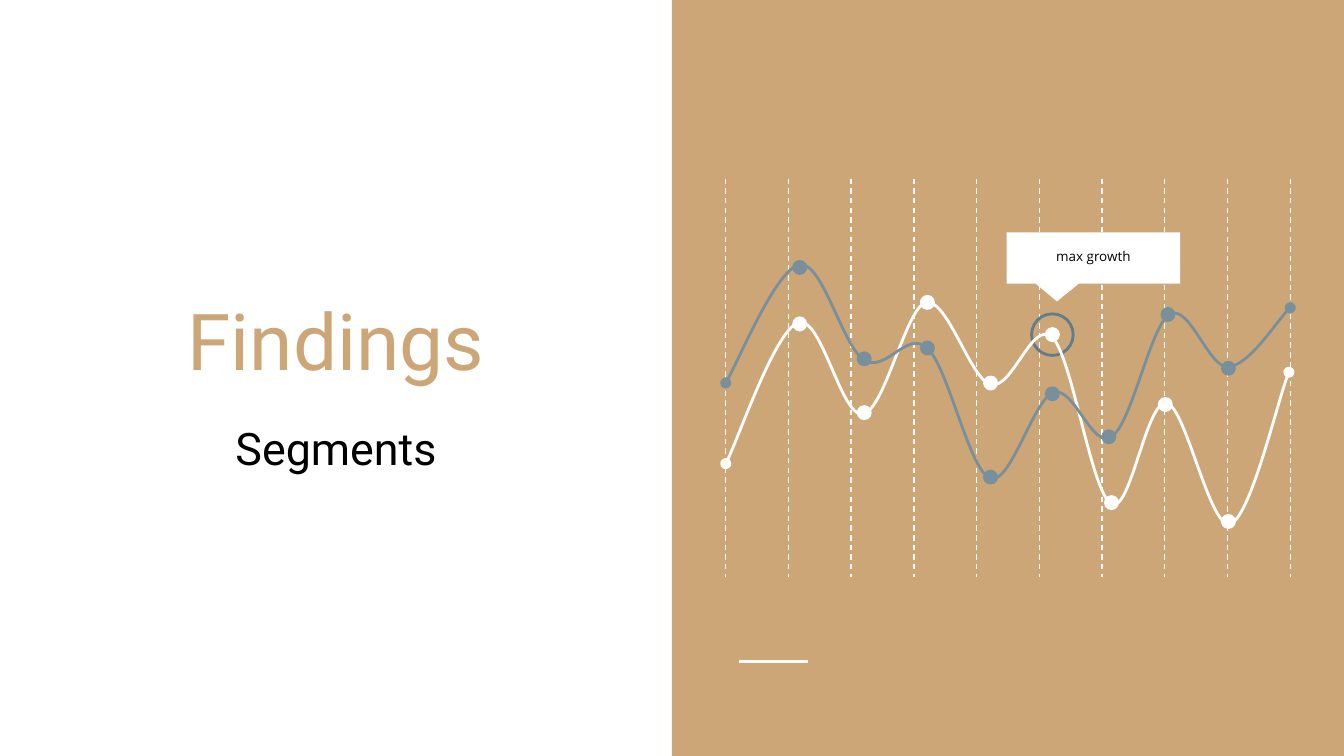
from pptx import Presentation, util as u
from pptx.dml.color import RGBColor
from pptx.enum import dml, shapes, text
from pptx.oxml import ns
from lxml import etree

# Content
WIDTH = 10
HEIGHT = WIDTH * 9 / 16
WHITE, TAN, RING, SLATE, BLACK = "FFFFFF", "CCA677", "607D8B", "78909C", "000000"

HEADINGS = [  # words, box, anchor, format, colour
    ("Findings", (0.29, 1.02, 4.42, 1.95), text.MSO_ANCHOR.BOTTOM,
     dict(name="Roboto", size=u.Pt(42), bold=False), TAN),
    ("Segments", (0.29, 3.03, 4.42, 1.72), text.MSO_ANCHOR.TOP,
     dict(name="Roboto", size=u.Pt(24), bold=False), BLACK),
]
LABEL = ("max growth", (7.49, 1.76, 1.29, 0.31), text.MSO_ANCHOR.MIDDLE,
         dict(name="Open Sans", size=u.Pt(7.2), bold=False), BLACK)

# Each curve: start, then (control, control, joint) for every segment
WHITE_CURVE = [
    (5.4, 3.45),
    (5.49, 3.28), (5.77, 2.46), (5.94, 2.4),
    (6.11, 2.34), (6.26, 3.11), (6.42, 3.08),
    (6.58, 3.06), (6.74, 2.29), (6.89, 2.25),
    (7.05, 2.22), (7.22, 2.82), (7.37, 2.86),
    (7.53, 2.91), (7.68, 2.37), (7.83, 2.51),
    (7.98, 2.66), (8.12, 3.67), (8.27, 3.75),
    (8.41, 3.83), (8.53, 2.97), (8.68, 3),
    (8.82, 3.02), (9, 3.93), (9.15, 3.9),
    (9.3, 3.86), (9.51, 2.96), (9.59, 2.77),
]
SLATE_CURVE = [
    (5.4, 2.85),
    (5.49, 2.7), (5.78, 2), (5.95, 1.97),
    (6.12, 1.94), (6.27, 2.58), (6.43, 2.68),
    (6.59, 2.78), (6.75, 2.45), (6.9, 2.59),
    (7.06, 2.74), (7.21, 3.5), (7.37, 3.56),
    (7.52, 3.61), (7.69, 2.97), (7.84, 2.92),
    (7.99, 2.87), (8.13, 3.35), (8.27, 3.25),
    (8.42, 3.16), (8.56, 2.43), (8.7, 2.34),
    (8.85, 2.25), (8.99, 2.74), (9.14, 2.73),
    (9.29, 2.72), (9.52, 2.36), (9.6, 2.29),
]
# Dot centres, one for each inner joint
WHITE_DOTS = [(5.95, 2.41), (6.43, 3.07), (6.9, 2.25), (7.37, 2.85),
              (7.83, 2.49), (8.27, 3.74), (8.67, 3.01), (9.14, 3.88)]
SLATE_DOTS = [(5.95, 1.99), (6.43, 2.67), (6.9, 2.59), (7.37, 3.55),
              (7.83, 2.93), (8.25, 3.25), (8.69, 2.34), (9.14, 2.74)]
GRID = dict(left=5.4, right=9.6, top=1.33, bottom=4.29, lines=10)
DOT, RING_SIZE = 0.09, 0.31

deck = Presentation()
deck.slide_width, deck.slide_height = u.Inches(WIDTH), u.Inches(HEIGHT)
slide = deck.slides.add_slide(deck.slide_layouts[0])


def rgb(value):
    return RGBColor.from_string(value)


def inches(values):
    return [u.Inches(v) for v in values]


def set_line(line, color, points):
    line.color.rgb = rgb(color)
    line.width = u.Pt(points)


def paint(part, fill=None, line=None, points=1.5):
    part.shadow.inherit = False
    if fill:
        part.fill.solid()
        part.fill.fore_color.rgb = rgb(fill)
    else:
        part.fill.background()
    if line:
        set_line(part.line, line, points)
    else:
        part.line.fill.background()
    return part


def add_part(kind, box, **look):
    return paint(slide.shapes.add_shape(kind, *inches(box)), **look)


def add_circle(center, size, **look):
    x, y = center
    add_part(shapes.MSO_SHAPE.OVAL, (x - size / 2, y - size / 2, size, size), **look)


def add_rule(start, end, points, dash=None):
    rule = slide.shapes.add_connector(shapes.MSO_CONNECTOR.STRAIGHT, *inches(start + end))
    etree.SubElement(rule._element.spPr, ns.qn("a:effectLst"))
    set_line(rule.line, WHITE, points)
    rule.line.dash_style = dash


def write(holder, words, box, anchor, font_format, color):
    holder.left, holder.top, holder.width, holder.height = inches(box)
    frame = holder.text_frame
    frame.text = words
    frame_format = dict(word_wrap=True, vertical_anchor=anchor, auto_size=text.MSO_AUTO_SIZE.NONE)
    for side in ("left", "top", "right", "bottom"):
        frame_format["margin_" + side] = u.Inches(0.1)
    for key, value in frame_format.items():
        setattr(frame, key, value)
    paragraph = frame.paragraphs[0]
    paragraph.alignment = text.PP_ALIGN.CENTER
    paragraph.space_before = u.Pt(0)
    font = paragraph.runs[0].font
    for key, value in font_format.items():
        setattr(font, key, value)
    font.color.rgb = rgb(color)
    return paragraph


def add_curve(points, dots, color):
    start, *rest = [inches(point) for point in points]
    builder = slide.shapes.build_freeform(*start)
    builder.add_line_segments(rest, close=False)
    curve = paint(builder.convert_to_shape(), line=color)
    # Turn every three straight steps into one Bézier segment
    steps = list(curve._element.iter(ns.qn("a:lnTo")))
    for i in range(0, len(steps), 3):
        bezier = etree.Element(ns.qn("a:cubicBezTo"))
        steps[i].addprevious(bezier)
        for step in steps[i:i + 3]:
            bezier.append(step[0])
            step.getparent().remove(step)
    for end in ("a:headEnd", "a:tailEnd"):
        etree.SubElement(curve.line._get_or_add_ln(), ns.qn(end), type="oval")
    for center in dots:
        add_circle(center, DOT, fill=color, line=color)


# Right panel and accent rule
add_part(shapes.MSO_SHAPE.RECTANGLE, (WIDTH / 2, 0, WIDTH / 2, HEIGHT), fill=TAN)
add_rule((5.5, 4.92), (6.01, 4.92), 1.5)

# Dashed grid
gap = (GRID["right"] - GRID["left"]) / (GRID["lines"] - 1)
for column in range(GRID["lines"]):
    x = GRID["left"] + column * gap
    add_rule((x, GRID["top"]), (x, GRID["bottom"]), 0.75, dml.MSO_LINE.DASH)

# Headings
for holder, heading in zip(slide.placeholders, HEADINGS):
    write(holder, *heading)

# Curves, ring round the peak, and callout
add_circle((7.83, 2.49), RING_SIZE, line=RING)
add_curve(WHITE_CURVE, WHITE_DOTS, WHITE)
callout = add_part(shapes.MSO_SHAPE.ROUNDED_RECTANGULAR_CALLOUT, (7.49, 1.73, 1.29, 0.38), fill=WHITE)
for i, adjustment in enumerate((-0.21, 0.85, 0)):
    callout.adjustments[i] = adjustment
add_curve(SLATE_CURVE, SLATE_DOTS, SLATE)
label = write(slide.shapes.add_textbox(*inches(LABEL[1])), *LABEL)
label.line_spacing = 0.95

deck.save("out.pptx")
